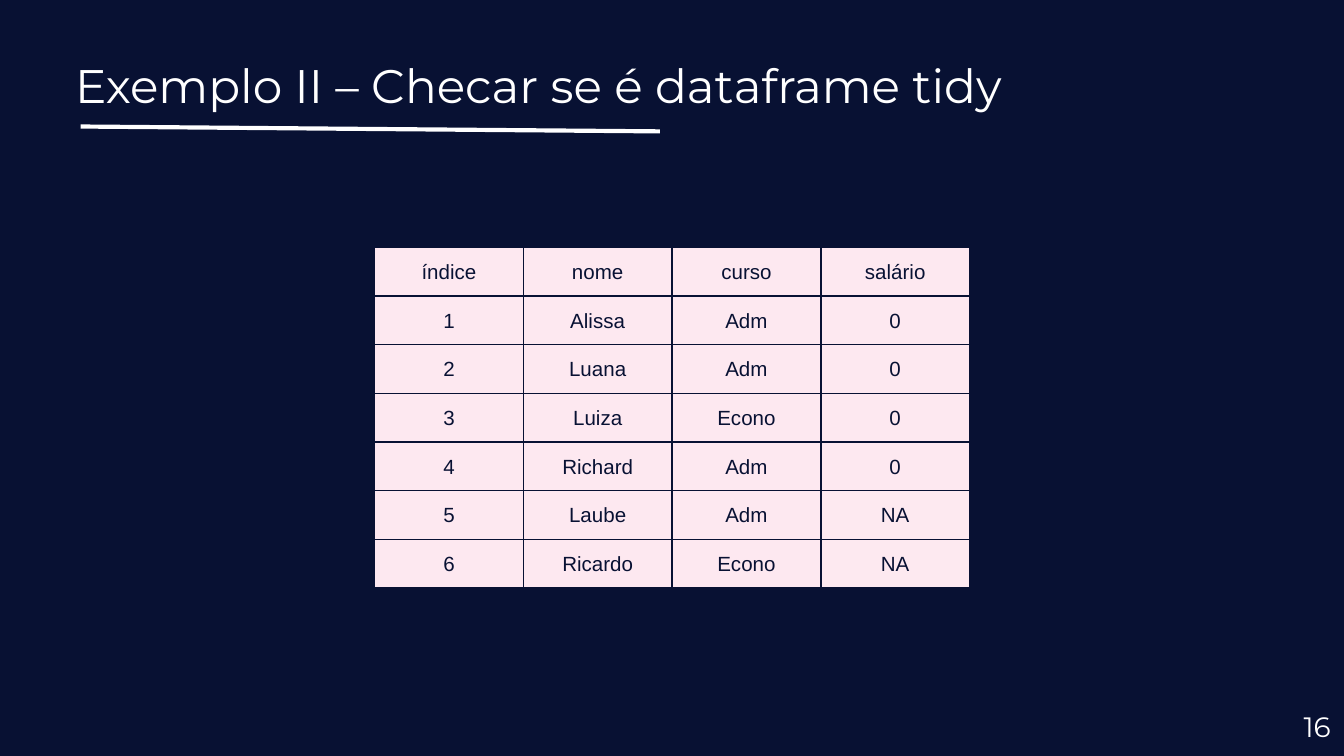
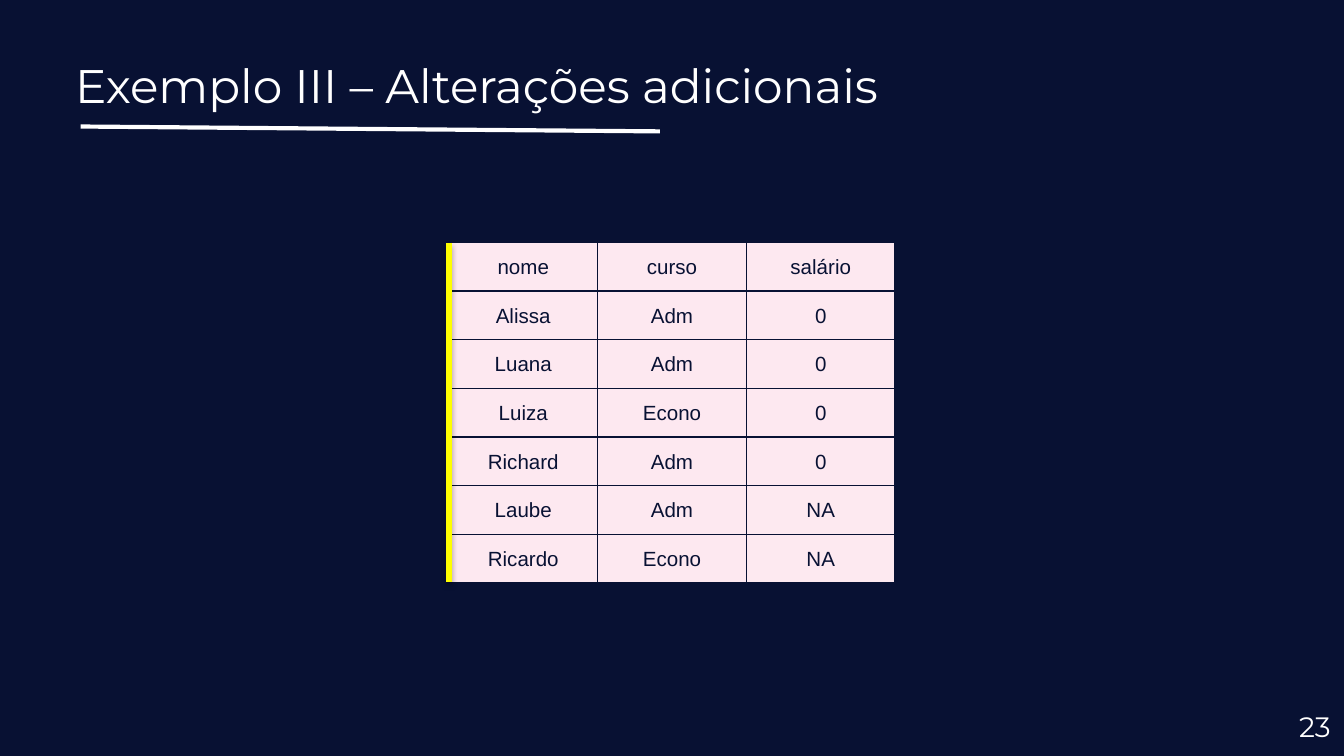
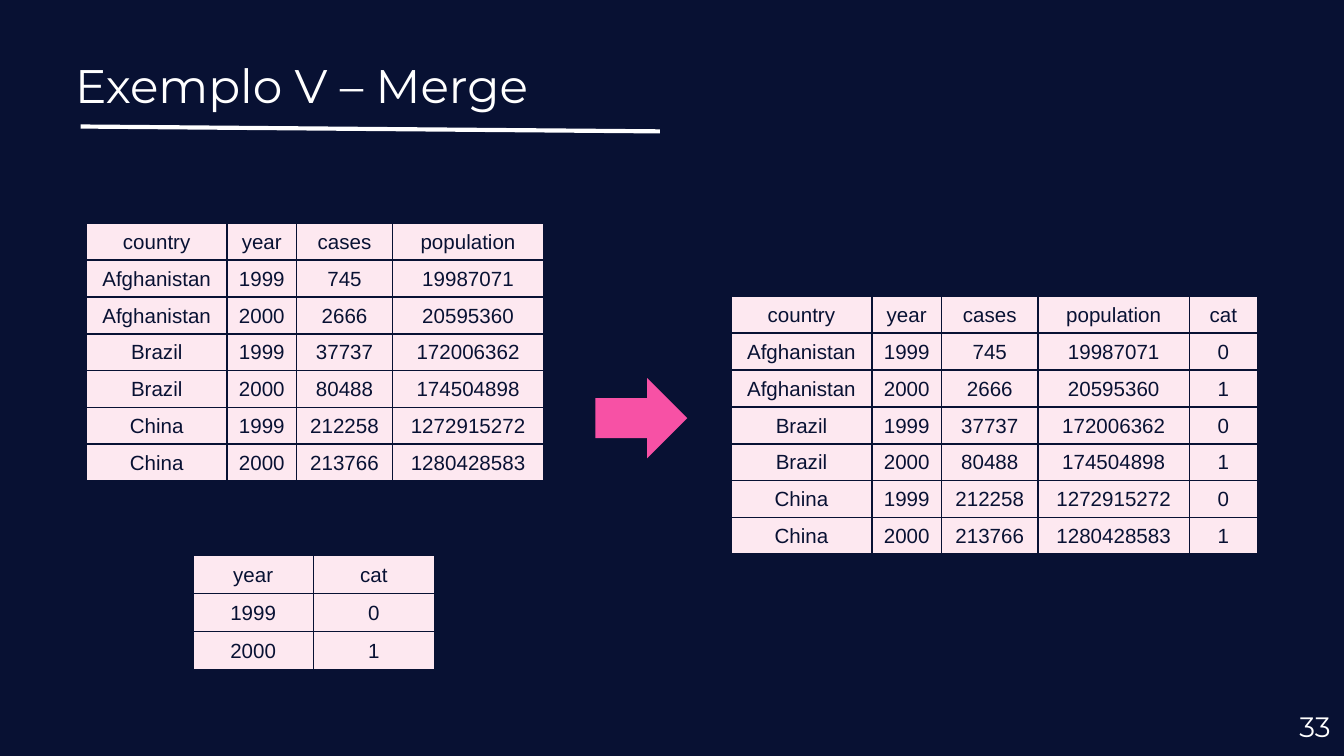
from lxml import etree
from pptx import Presentation
from pptx import util as u
from pptx.dml import color
from pptx.enum import shapes, text
from pptx.oxml import ns

Pt = u.Pt
COLORS = {
    "navy": "081133",
    "white": "FFFFFF",
    "cell": "FDE8F0",
    "missing": "FDE9F0",
    "pink": "F751A5",
    "yellow": "FFFF00",
    "black": "000000",
}
STUDENTS = [
    ["índice", "nome", "curso", "salário"],
    ["1", "Alissa", "Adm", "0"],
    ["2", "Luana", "Adm", "0"],
    ["3", "Luiza", "Econo", "0"],
    ["4", "Richard", "Adm", "0"],
    ["5", "Laube", "Adm", "NA"],
    ["6", "Ricardo", "Econo", "NA"],
]
COUNTRIES = [
    ["country", "year", "cases", "population"],
    ["Afghanistan", "1999", "745", "19987071"],
    ["Afghanistan", "2000", "2666", "20595360"],
    ["Brazil", "1999", "37737", "172006362"],
    ["Brazil", "2000", "80488", "174504898"],
    ["China", "1999", "212258", "1272915272"],
    ["China", "2000", "213766", "1280428583"],
]
CATEGORIES = [["year", "cat"], ["1999", "0"], ["2000", "1"]]


def rgb(name):
    return color.RGBColor.from_string(COLORS[name])


def add_element(parent, tag, **attributes):
    values = {key: str(value) for key, value in attributes.items()}
    return etree.SubElement(parent, ns.qn(tag), values)


def write_text(frame, content, size=11, font="Arial", fill="navy", align="CENTER"):
    paragraph = frame.paragraphs[0]
    paragraph.alignment = text.PP_ALIGN[align]
    run = paragraph.add_run()
    run.text = content
    run.font.size = Pt(size)
    run.font.name = font
    run.font.color.rgb = rgb(fill)


class Deck:
    def __init__(self):
        self.presentation = Presentation()
        self.presentation.slide_width = Pt(720)
        self.presentation.slide_height = Pt(405)
        self.slide = None

    def add_slide(self, title, number):
        self.slide = self.presentation.slides.add_slide(self.presentation.slide_layouts[6])
        background = self.slide.background.fill
        background.solid()
        background.fore_color.rgb = rgb("navy")
        self.line(43.2, 67.8, 353.5, 70.4, "white", 2.25)
        self.text_box(title, 33.1, 23, 671, 45.4, size=25.2, align="LEFT")
        self.text_box(number, 676.8, 373.7, 43.2, 31, anchor="MIDDLE", size=15, align="RIGHT")

    def text_box(self, content, left, top, width, height, anchor="TOP", **style):
        box = self.slide.shapes.add_textbox(Pt(left), Pt(top), Pt(width), Pt(height))
        frame = box.text_frame
        frame.word_wrap = True
        frame.vertical_anchor = text.MSO_ANCHOR[anchor]
        frame.margin_left = frame.margin_right = Pt(7.2)
        frame.margin_top = frame.margin_bottom = Pt(7.2)
        write_text(frame, content, font="Montserrat", fill="white", **style)

    def line(self, x1, y1, x2, y2, fill, width, shadow=False):
        connector = self.slide.shapes.add_connector(
            shapes.MSO_CONNECTOR.STRAIGHT, Pt(x1), Pt(y1), Pt(x2), Pt(y2))
        connector.line.color.rgb = rgb(fill)
        connector.line.width = Pt(width)
        effects = add_element(connector._element.spPr, "a:effectLst")
        if shadow:
            outer = add_element(effects, "a:outerShdw", blurRad=Pt(3.1), dist=Pt(1.8),
                                dir=5400000, rotWithShape=0)
            tint = add_element(outer, "a:srgbClr", val=COLORS["black"])
            add_element(tint, "a:alpha", val=35000)

    def arrow(self, left, top, width, height, fill):
        shape = self.slide.shapes.add_shape(
            shapes.MSO_SHAPE.RIGHT_ARROW, Pt(left), Pt(top), Pt(width), Pt(height))
        shape.shadow.inherit = False
        shape.fill.solid()
        shape.fill.fore_color.rgb = rgb(fill)
        shape.line.fill.background()

    def table(self, rows, left, top, widths, row_height):
        table = self.slide.shapes.add_table(
            len(rows), len(widths), Pt(left), Pt(top),
            Pt(sum(widths)), Pt(row_height * len(rows))).table
        table.first_row = table.horz_banding = False
        for column, width in zip(table.columns, widths):
            column.width = Pt(width)
        for row, values in zip(table.rows, rows):
            row.height = Pt(row_height)
            for cell, value in zip(row.cells, values):
                self.cell(cell, value)

    def cell(self, cell, value):
        cell.margin_left = cell.margin_right = cell.margin_top = Pt(0.7)
        cell.margin_bottom = Pt(0)
        cell.vertical_anchor = text.MSO_ANCHOR.MIDDLE
        properties = cell._tc.get_or_add_tcPr()
        for side in "LRTB":
            border = add_element(properties, f"a:ln{side}", w=Pt(1))
            fill = add_element(border, "a:solidFill")
            add_element(fill, "a:srgbClr", val=COLORS["navy"])
        cell.fill.solid()
        cell.fill.fore_color.rgb = rgb("missing" if value == "NA" else "cell")
        write_text(cell.text_frame, value)


def main():
    deck = Deck()

    deck.add_slide("Exemplo II – Checar se é dataframe tidy", "16")
    deck.table(STUDENTS, 200.7, 132.5, [79.7] * 4, 26.1)

    deck.add_slide("Exemplo III – Alterações adicionais", "23")
    deck.table([row[1:] for row in STUDENTS], 240.5, 129.8, [79.7] * 3, 26.1)
    deck.line(240.5, 130.3, 240.5, 311.8, "yellow", 3, shadow=True)

    deck.add_slide("Exemplo V – Merge", "33")
    category_by_year = dict(CATEGORIES)
    merged = [row + [category_by_year[row[1]]] for row in COUNTRIES]
    deck.table(COUNTRIES, 46.3, 119.6, [75.4, 37.2, 51.5, 80.9], 19.75)
    deck.table(CATEGORIES, 103.3, 297.4, [64.7] * 2, 20.5)
    deck.table(merged, 391.7, 158.8, [75.4, 37.4, 51.6, 81.2, 36.4], 19.75)
    deck.arrow(319, 202.5, 49.2, 43, "pink")

    deck.presentation.save("out.pptx")


if __name__ == "__main__":
    main()
